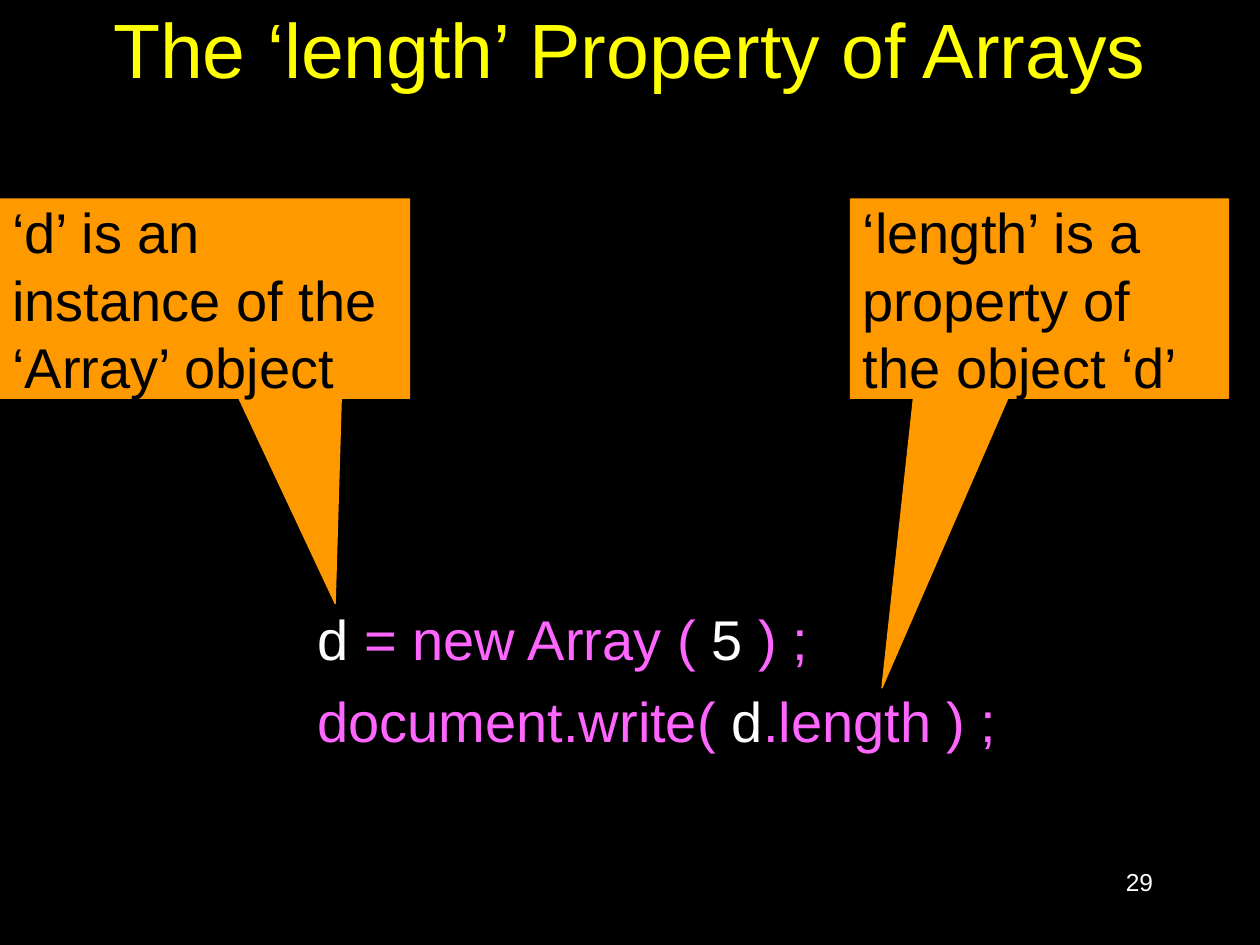
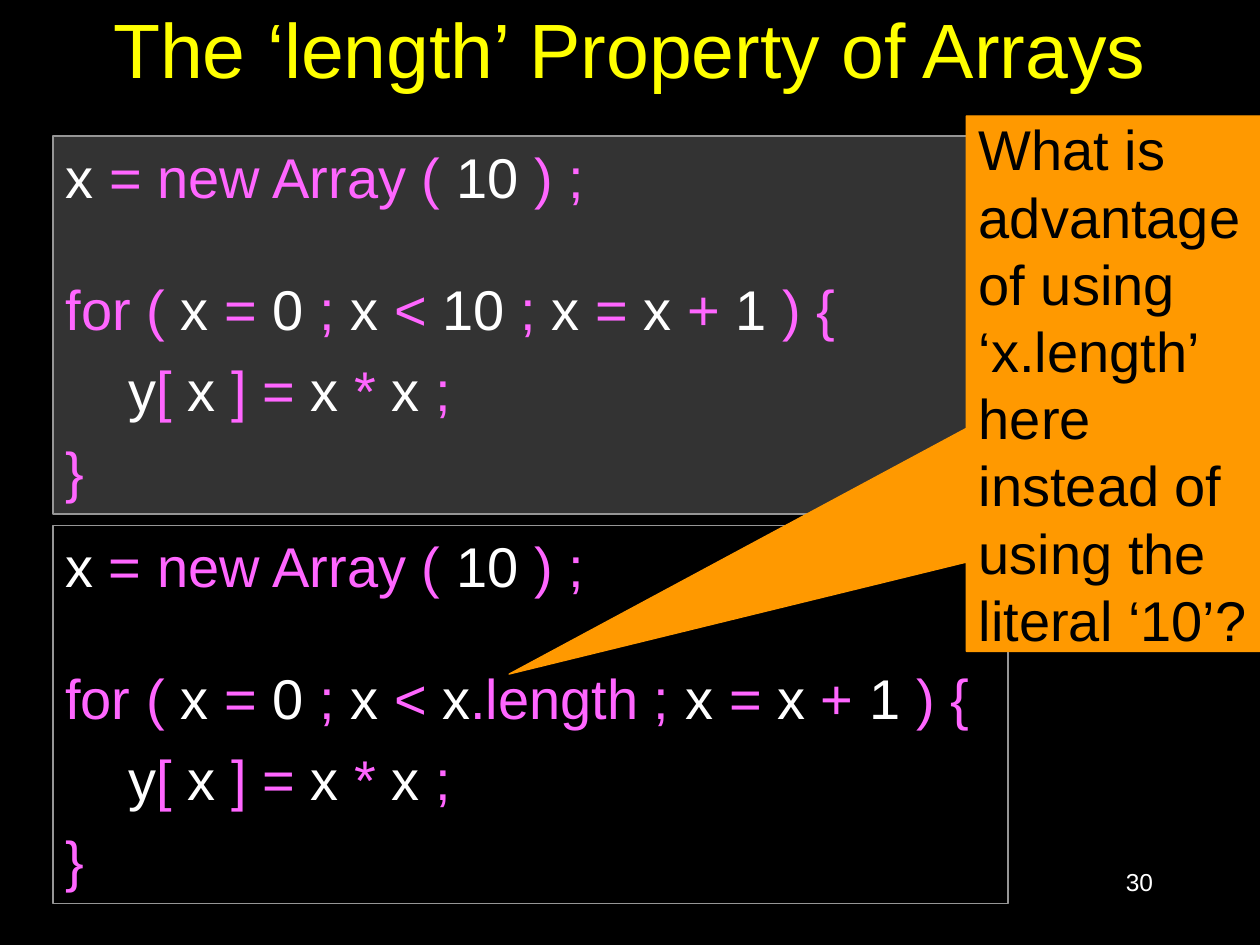
from lxml import etree
from pptx import Presentation
from pptx.dml.color import RGBColor
from pptx.enum import shapes, text
from pptx.oxml import ns
from pptx.util import Inches, Pt

BLACK = RGBColor(0, 0, 0)
WHITE = RGBColor(255, 255, 255)
YELLOW = RGBColor(255, 255, 0)
PINK = RGBColor(255, 102, 255)
ORANGE = RGBColor(255, 153, 0)
PANEL_GREY = RGBColor(51, 51, 51)
BORDER_GREY = RGBColor(150, 150, 150)

TITLE = "The ‘length’ Property of Arrays"
TITLE_FONT = {"name": "Arial", "size": Pt(44)}
BODY_FONT = {"name": "Arial", "size": Pt(32)}
NUMBER_FONT = {"name": "Arial", "size": Pt(14)}
LINE_GAP, BLOCK_GAP = 8, 37


def place(shape, left, top, width, height):
    bounds = {"left": left, "top": top, "width": width, "height": height}
    for name, value in bounds.items():
        setattr(shape, name, Inches(value))


def format_frame(frame, anchor):
    settings = {"word_wrap": True, "auto_size": text.MSO_AUTO_SIZE.NONE,
                "vertical_anchor": anchor}
    for name, value in settings.items():
        setattr(frame, name, value)


def add_run(para, words, font, color):
    span = para.add_run()
    span.text = words
    for name, value in font.items():
        setattr(span.font, name, value)
    span.font.color.rgb = color


def paint(shape, fill, border):
    shape.fill.solid()
    shape.fill.fore_color.rgb = fill
    shape.line.color.rgb = border
    shape.line.width = Pt(0.75)


def plain_paragraph(para):
    """Clear the bullet and indent, and put a tab stop at one inch."""
    props = para._p.get_or_add_pPr()
    props.set("marL", "0")
    props.set("indent", "0")
    etree.SubElement(props, ns.qn("a:buNone"))
    tabs = etree.SubElement(props, ns.qn("a:tabLst"))
    etree.SubElement(tabs, ns.qn("a:tab"), pos=str(Inches(1)), algn="l")


def write_code(box, lines):
    """Write (gap, code) lines; bars switch between white values and pink syntax."""
    frame = box.text_frame
    format_frame(frame, text.MSO_ANCHOR.TOP)
    for number, (gap, code) in enumerate(lines):
        para = frame.add_paragraph() if number else frame.paragraphs[0]
        para.alignment = text.PP_ALIGN.LEFT
        para.space_before = Pt(gap)
        plain_paragraph(para)
        for position, part in enumerate(code.split("|")):
            if part:
                add_run(para, part, BODY_FONT, PINK if position % 2 else WHITE)


def loop_code(limit):
    return [
        (0, "x |= new Array ( |10 |) ;"),
        (BLOCK_GAP, f"|for ( |x| = |0 |; |x| < |{limit}; |x| = |x| + |1 |) {{"),
        (LINE_GAP, "|\t|y|[| x| ] = |x| * |x |;"),
        (LINE_GAP, "|}"),
    ]


def add_callout(page, bounds, tip, words):
    """Add an orange callout whose pointer ends at tip, in inches on the page."""
    left, top, width, height = bounds
    callout = page.shapes.add_shape(shapes.MSO_SHAPE.RECTANGULAR_CALLOUT,
                                    *map(Inches, bounds))
    callout.shadow.inherit = False
    callout.adjustments[0] = (tip[0] - left) / width - 0.5
    callout.adjustments[1] = (tip[1] - top) / height - 0.5
    paint(callout, ORANGE, ORANGE)
    format_frame(callout.text_frame, text.MSO_ANCHOR.MIDDLE)
    para = callout.text_frame.paragraphs[0]
    para.alignment = text.PP_ALIGN.LEFT
    add_run(para, words, BODY_FONT, BLACK)


def add_page(deck, number):
    page = deck.slides.add_slide(deck.slide_layouts[1])
    title = page.shapes.title
    place(title, 0.75, -0.25, 8.5, 1.25)
    format_frame(title.text_frame, text.MSO_ANCHOR.MIDDLE)
    heading = title.text_frame.paragraphs[0]
    heading.alignment = text.PP_ALIGN.CENTER
    add_run(heading, TITLE, TITLE_FONT, YELLOW)

    box = page.shapes.add_textbox(*map(Inches, (7.17, 6.83, 2.08, 0.5)))
    format_frame(box.text_frame, text.MSO_ANCHOR.TOP)
    para = box.text_frame.paragraphs[0]
    para.alignment = text.PP_ALIGN.RIGHT
    add_run(para, str(number), NUMBER_FONT, WHITE)
    return page


def build_property_page(deck):
    page = add_page(deck, 29)
    code = page.placeholders[1]
    place(code, 2.42, 4.75, 5.67, 1.33)
    write_code(code, [(0, "d |= new Array ( |5 |) ;"),
                      (LINE_GAP, "|document.write(| d|.length ) ;")])
    add_callout(page, (0, 1.58, 3.25, 1.58), (2.66, 4.79),
                "‘d’ is an instance of the ‘Array’ object")
    add_callout(page, (6.75, 1.58, 3, 1.58), (7, 5.46),
                "‘length’ is a property of the object ‘d’")


def build_loop_page(deck):
    page = add_page(deck, 30)
    literal_panel = page.placeholders[1]
    length_panel = page.shapes.add_shape(shapes.MSO_SHAPE.RECTANGLE, 0, 0, 0, 0)
    length_panel.shadow.inherit = False
    panels = [(literal_panel, 1.08, PANEL_GREY, "10 |"),
              (length_panel, 4.17, BLACK, "x|.length ")]
    for panel, top, fill, limit in panels:
        place(panel, 0.42, top, 7.58, 3)
        paint(panel, fill, BORDER_GREY)
        write_code(panel, loop_code(limit))
    add_callout(page, (7.67, 0.92, 2.33, 4.25), (4.04, 5.35),
                "What is advantage of using ‘x.length’ here instead of "
                "using the literal ‘10’?")


def main():
    deck = Presentation()
    deck.slide_width, deck.slide_height = Inches(10), Inches(7.5)
    background = deck.slide_master.background.fill
    background.solid()
    background.fore_color.rgb = BLACK
    build_property_page(deck)
    build_loop_page(deck)
    deck.save("out.pptx")


if __name__ == "__main__":
    main()
